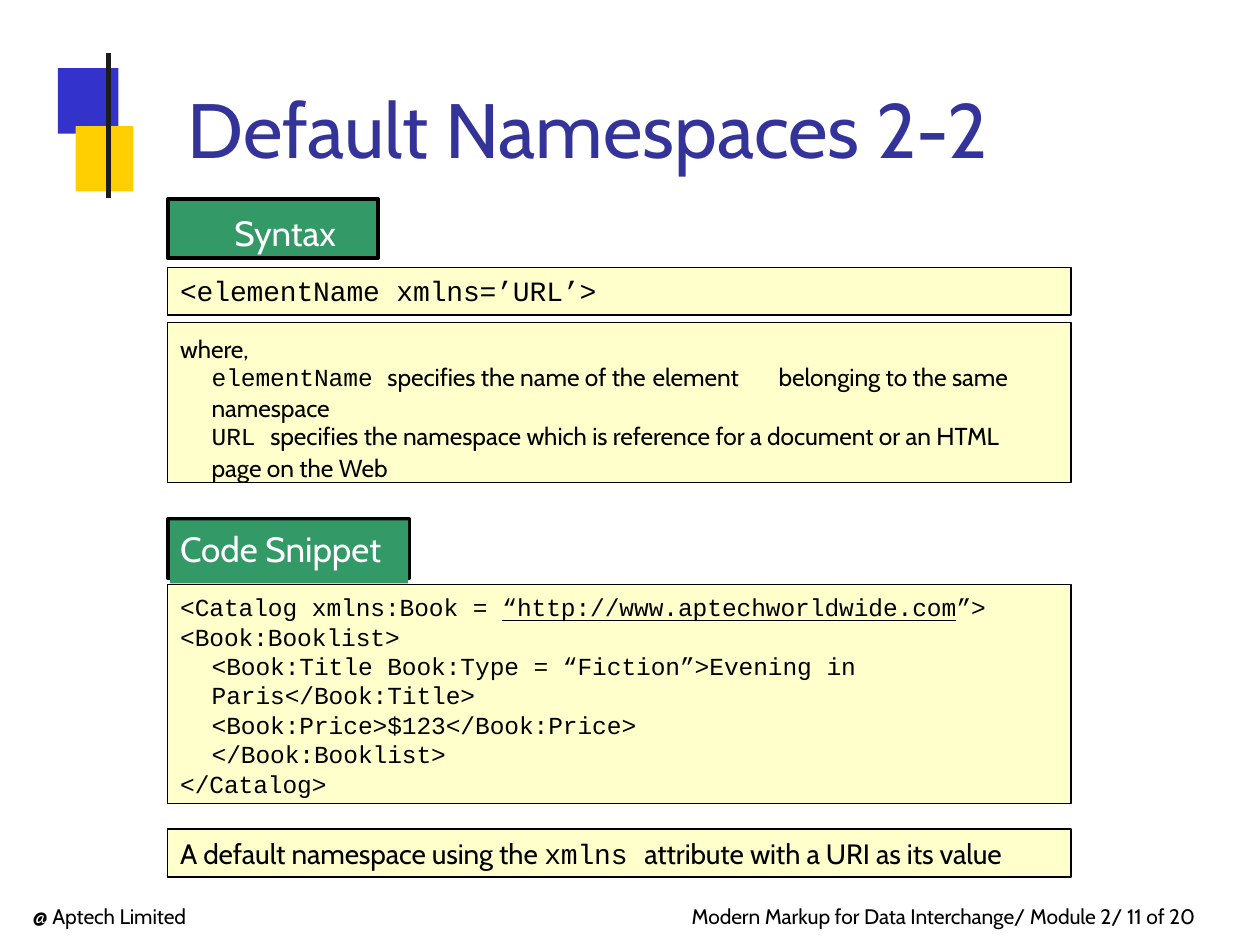
from lxml import etree
from pptx import Presentation
from pptx import util as u
from pptx.dml.color import RGBColor
from pptx.enum import shapes, text
from pptx.oxml import ns

BLACK = RGBColor(0x00, 0x00, 0x00)
WHITE = RGBColor(0xFF, 0xFF, 0xFF)
CREAM = RGBColor(0xFF, 0xFF, 0xCC)
GREEN = RGBColor(0x33, 0x99, 0x66)
NAVY = RGBColor(0x33, 0x33, 0x99)
BLUE = RGBColor(0x33, 0x33, 0xCC)
GOLD = RGBColor(0xFF, 0xCF, 0x01)
COAL = RGBColor(0x1C, 0x1C, 0x1C)
SANS, MONO = "Cabin", "Courier New"
COLS, ROWS = 100, 75
LEFT, SPAN = 13.3, 71.7
NEAR, DEEP = 0.1, 0.35


def write(shape, paras, size=14, font=SANS, color=BLACK, top=0.05, lead=None):
    frame = shape.text_frame
    frame.word_wrap = True
    frame.vertical_anchor = text.MSO_ANCHOR.TOP
    frame.margin_left = frame.margin_right = frame.margin_bottom = 0
    frame.margin_top = u.Inches(top)
    for i, (inset, *runs) in enumerate(paras):
        para = frame.paragraphs[0] if i == 0 else frame.add_paragraph()
        para.alignment = text.PP_ALIGN.LEFT
        if lead:
            para.line_spacing = u.Pt(lead)
        props = para._p.get_or_add_pPr()
        props.set("marL", str(u.Inches(inset)))
        props.set("indent", "0")
        for item in runs:
            words, face, under = (item, font, False) if isinstance(item, str) else item
            run = para.add_run()
            run.text = words
            run.font.name, run.font.size = face, u.Pt(size)
            run.font.color.rgb = color
            run.font.underline = under
            run._r.get_or_add_rPr().set("spc", "-5")
    return frame


def add_tabs(para, *stops):
    tabs = etree.SubElement(para._p.get_or_add_pPr(), ns.qn("a:tabLst"))
    for stop in stops:
        etree.SubElement(tabs, ns.qn("a:tab"), pos=str(u.Inches(stop)), algn="l")


class Deck:
    def __init__(self):
        self.show = Presentation()
        self.show.slide_width, self.show.slide_height = u.Inches(10), u.Inches(7.5)
        self.slide = self.show.slides.add_slide(self.show.slide_layouts[6])

    def place(self, x, y, w, h):
        wide, high = self.show.slide_width, self.show.slide_height
        return [int(part) for part in (x * wide / COLS, y * high / ROWS,
                                       w * wide / COLS, h * high / ROWS)]

    def box(self, x, y, w, h, fill=None, line=None):
        shape = self.slide.shapes.add_shape(
            shapes.MSO_SHAPE.RECTANGLE, *self.place(x, y, w, h))
        shape.shadow.inherit = False
        if fill is None:
            shape.fill.background()
        else:
            shape.fill.solid()
            shape.fill.fore_color.rgb = fill
        if line is None:
            shape.line.fill.background()
        else:
            shape.line.color.rgb = BLACK
            shape.line.width = u.Pt(line)
        return shape

    def panel(self, y, h):
        return self.box(LEFT, y, SPAN, h, CREAM, 0.72)

    def label(self, x, y, w, h):
        return self.slide.shapes.add_textbox(*self.place(x, y, w, h))

    def rule(self, x, y, h):
        left, top, _, high = self.place(x, y, 0, h)
        line = self.slide.shapes.add_connector(
            shapes.MSO_CONNECTOR.STRAIGHT, left, top, left, top + high)
        line.line.color.rgb = COAL
        line.line.width = u.Pt(2.52)
        etree.SubElement(line._element.spPr, ns.qn("a:effectLst"))


def main():
    deck = Deck()
    deck.box(4.6, 5.4, 4.8, 5.2, BLUE)
    deck.box(6, 10, 4.6, 5.2, GOLD)
    deck.rule(8.6, 4.2, 11.5)
    write(deck.label(14.8, 6.2, 72, 7.6), [(0.01, "Default Namespaces 2-2")],
          size=44, color=NAVY, top=0.03)

    write(deck.panel(46.4, 17.4), [
        (NEAR, "<Catalog xmlns:Book = ",
         ("“http://www.aptechworldwide.com", MONO, True), "”>"),
        (NEAR, "<Book:Booklist>"),
        (DEEP, "<Book:Title Book:Type = “Fiction”>Evening in"),
        (DEEP, "Paris</Book:Title>"),
        (DEEP, "<Book:Price>$123</Book:Price>"),
        (DEEP, "</Book:Booklist>"),
        (NEAR, "</Catalog>"),
    ], font=MONO, top=0.06)
    write(deck.panel(21.2, 3.8), [(NEAR, "<elementName xmlns=’URL’>")],
          size=16, font=MONO)
    write(deck.box(LEFT, 15.8, 16.7, 4.7, GREEN, 2.28), [(0.53, "Syntax")],
          size=20, color=WHITE, top=0.1)

    terms = write(deck.panel(25.6, 12.7), [
        (NEAR, "where,"),
        (DEEP, ("elementName ", MONO, False),
         "specifies the name of the\telement\tbelonging to the same"),
        (DEEP, "namespace"),
        (DEEP, ("URL ", MONO, False),
         "specifies the namespace which is reference for a document or an HTML"),
        (DEEP, "page on the Web"),
    ], top=0.1, lead=16.2).paragraphs
    add_tabs(terms[1], 4.09, 4.96)
    for para in (terms[2], terms[4]):
        para.space_before = u.Pt(1.2)
    terms[4].line_spacing = 1.0

    deck.box(LEFT, 41.2, 19.2, 4.7, line=2.28)
    write(deck.box(13.5, 41.3, 18.9, 5, GREEN), [(0.08, "Code Snippet")],
          size=20, color=WHITE, top=0.06)

    write(deck.label(2.5, 71.5, 15, 2.3), [(0.01, "@ Aptech Limited")],
          size=12, top=0.02)
    write(deck.label(54.8, 71.5, 44, 2.3),
          [(0.01, "Modern Markup for Data Interchange/ Module 2/ 11 of 20")],
          size=12, top=0.02)
    write(deck.panel(65.8, 3.8), [
        (NEAR, "A default namespace using the ", ("xmlns ", MONO, False),
         "attribute with a URI as its value"),
    ], size=16, top=0.06)
    deck.show.save("out.pptx")


if __name__ == "__main__":
    main()
